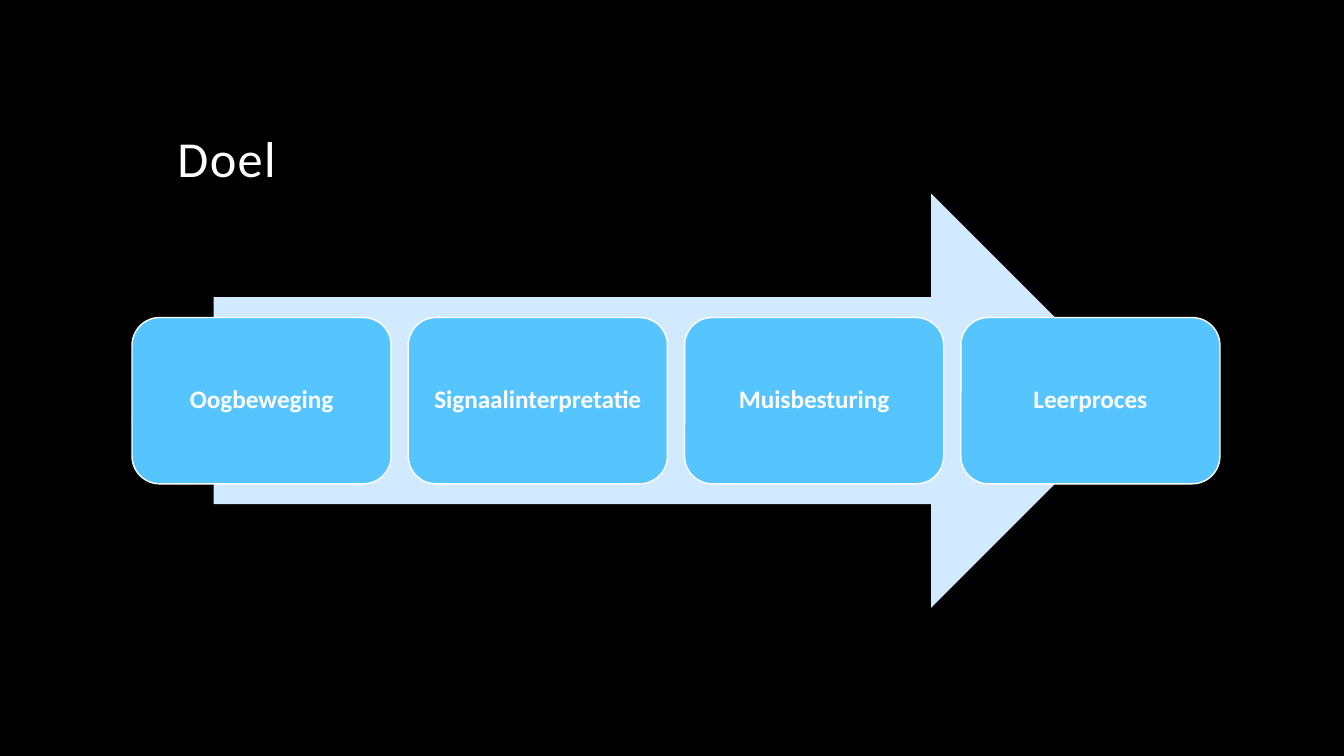
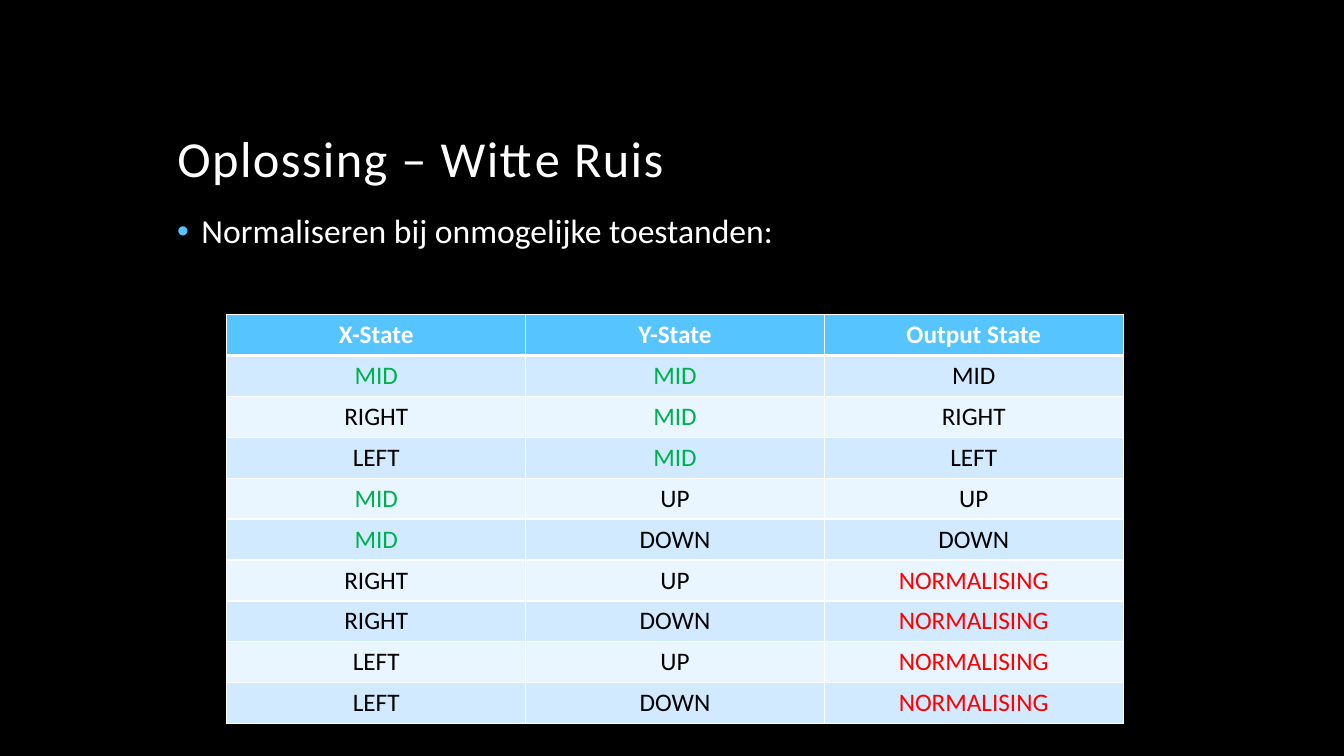
"""Build two slides: the goal as a process arrow and a table of output states."""
from dataclasses import dataclass

from lxml import etree
from pptx import Presentation
from pptx.dml.color import RGBColor
from pptx.enum.shapes import MSO_SHAPE
from pptx.enum.text import MSO_ANCHOR, PP_ALIGN
from pptx.oxml.ns import qn
from pptx.util import Inches, Pt

RIGHT_ARROW = MSO_SHAPE.RIGHT_ARROW
ROUNDED_RECTANGLE = MSO_SHAPE.ROUNDED_RECTANGLE
MIDDLE, BOTTOM = MSO_ANCHOR.MIDDLE, MSO_ANCHOR.BOTTOM
LEFT, CENTER = PP_ALIGN.LEFT, PP_ALIGN.CENTER

FONT = "Calibri"
BLACK, WHITE = "000000", "FFFFFF"
BLUE, PALE_BLUE, PALEST_BLUE = "56C5FF", "D1EAFF", "E9F5FF"
GREEN, RED = "00B050", "FF0000"
LINE_SPACING = 0.9
TITLE_ONLY = 5

STEPS = ["Oogbeweging", "Signaalinterpretatie", "Muisbesturing", "Leerproces"]
STATES = [
    ("X-State", "Y-State", "Output State"),
    ("MID", "MID", "MID"),
    ("RIGHT", "MID", "RIGHT"),
    ("LEFT", "MID", "LEFT"),
    ("MID", "UP", "UP"),
    ("MID", "DOWN", "DOWN"),
    ("RIGHT", "UP", "NORMALISING"),
    ("RIGHT", "DOWN", "NORMALISING"),
    ("LEFT", "UP", "NORMALISING"),
    ("LEFT", "DOWN", "NORMALISING"),
]


@dataclass(frozen=True)
class Area:
    """A rectangle on the slide, in inches."""
    left: float
    top: float
    width: float
    height: float

    def lengths(self) -> tuple:
        """Return left, top, width and height as lengths."""
        return tuple(map(Inches, (self.left, self.top, self.width, self.height)))


@dataclass(frozen=True)
class TextStyle:
    """Size, colour, weight and alignment of a paragraph."""
    size: int
    color: str = WHITE
    bold: bool = False
    align: PP_ALIGN = CENTER


TITLE_AREA = Area(1.66, 0.42, 10, 1.5)
BULLET_AREA = Area(1.66, 2.08, 10, 0.6)
TABLE_AREA = Area(2.25, 3.12, 8.89, 4.06)
ARROW_AREA = Area(2.12, 1.92, 9.17, 4.11)
FIRST_STEP = Area(1.31, 3.15, 2.57, 1.65)
STEP_PITCH = 2.74
TITLE_STYLE = TextStyle(36, align=LEFT)
BULLET_STYLE = TextStyle(24, align=LEFT)
STRONG_STYLE = TextStyle(18, bold=True)


def rgb(color: str) -> RGBColor:
    """Turn a hex string into a colour."""
    return RGBColor.from_string(color)


def write(frame, text: str, style: TextStyle):
    """Put one styled paragraph in a text frame and return it."""
    para = frame.paragraphs[0]
    para.text = text
    para.alignment = style.align
    font = para.font
    font.name, font.size, font.bold = FONT, Pt(style.size), style.bold
    font.color.rgb = rgb(style.color)
    return para


def add_slide(deck, title: str):
    """Add a slide with its title in the shared style."""
    page = deck.slides.add_slide(deck.slide_layouts[TITLE_ONLY])
    box = page.shapes.title
    box.left, box.top, box.width, box.height = TITLE_AREA.lengths()
    box.text_frame.vertical_anchor = BOTTOM
    para = write(box.text_frame, title, TITLE_STYLE)
    para.line_spacing = LINE_SPACING
    para.runs[0].font._element.set("spc", "100")
    return page


def add_filled_shape(page, preset: MSO_SHAPE, area: Area, color: str):
    """Add a flat preset shape without an outline."""
    shape = page.shapes.add_shape(preset, *area.lengths())
    shape.shadow.inherit = False
    shape.fill.solid()
    shape.fill.fore_color.rgb = rgb(color)
    shape.line.fill.background()
    return shape


def add_step(page, index: int, label: str) -> None:
    """Add one rounded step of the process."""
    area = Area(FIRST_STEP.left + index * STEP_PITCH, FIRST_STEP.top,
                FIRST_STEP.width, FIRST_STEP.height)
    shape = add_filled_shape(page, ROUNDED_RECTANGLE, area, BLUE)
    shape.line.color.rgb = rgb(WHITE)
    shape.line.width = Pt(1)
    frame = shape.text_frame
    frame.word_wrap = True
    frame.vertical_anchor = MIDDLE
    frame.margin_left = frame.margin_right = Inches(0.15)
    write(frame, label, STRONG_STYLE).line_spacing = LINE_SPACING


def add_bullet(page, text: str) -> None:
    """Add a bulleted line with a blue dot."""
    frame = page.shapes.add_textbox(*BULLET_AREA.lengths()).text_frame
    frame.word_wrap = True
    para = write(frame, text, BULLET_STYLE)
    para.line_spacing = LINE_SPACING
    para.space_before = Pt(18)
    properties = para._p.get_or_add_pPr()
    properties.set("marL", str(Inches(0.24)))
    properties.set("indent", str(Inches(-0.24)))
    bullet_color = etree.Element(qn("a:buClr"))
    etree.SubElement(bullet_color, qn("a:srgbClr"), val=BLUE)
    bullet_font = etree.Element(qn("a:buFont"), typeface="Arial")
    bullet = etree.Element(qn("a:buChar"), char="•")
    position = properties.index(properties.find(qn("a:spcBef"))) + 1
    properties[position:position] = [bullet_color, bullet_font, bullet]


def set_borders(cell, bottom: int) -> None:
    """Draw white borders, one point wide except at the bottom."""
    properties = cell._tc.get_or_add_tcPr()
    widths = {"a:lnL": 1, "a:lnR": 1, "a:lnT": 1, "a:lnB": bottom}
    for position, (tag, width) in enumerate(widths.items()):
        line = etree.Element(qn(tag), w=str(Pt(width)))
        fill = etree.SubElement(line, qn("a:solidFill"))
        etree.SubElement(fill, qn("a:srgbClr"), val=WHITE)
        properties.insert(position, line)


def state_color(state: str, is_output: bool) -> str:
    """Mark resting inputs green and impossible combinations red."""
    if state == "NORMALISING":
        return RED
    return GREEN if state == "MID" and not is_output else BLACK


def add_state_table(page) -> None:
    """Add the table that maps two input states to an output state."""
    row_count, column_count = len(STATES), len(STATES[0])
    table = page.shapes.add_table(row_count, column_count, *TABLE_AREA.lengths()).table
    for row in table.rows:
        row.height = Inches(TABLE_AREA.height / row_count)
    for row_index, states in enumerate(STATES):
        is_header = row_index == 0
        band = BLUE if is_header else PALE_BLUE if row_index % 2 else PALEST_BLUE
        for column_index, state in enumerate(states):
            cell = table.cell(row_index, column_index)
            cell.fill.solid()
            cell.fill.fore_color.rgb = rgb(band)
            is_output = column_index == column_count - 1
            style = STRONG_STYLE if is_header else TextStyle(18, state_color(state, is_output))
            write(cell.text_frame, state, style)
            set_borders(cell, bottom=3 if is_header else 1)
            if row_index == 1:
                header_line = cell._tc.tcPr.find(qn("a:lnT"))
                header_line.set("w", str(Pt(3)))


def build_goal(deck) -> None:
    """Build the slide with the process arrow."""
    page = add_slide(deck, "Doel")
    add_filled_shape(page, RIGHT_ARROW, ARROW_AREA, PALE_BLUE)
    for index, label in enumerate(STEPS):
        add_step(page, index, label)


def build_solution(deck) -> None:
    """Build the slide with the state table."""
    page = add_slide(deck, "Oplossing – Witte Ruis")
    add_bullet(page, "Normaliseren bij onmogelijke toestanden:")
    add_state_table(page)


def main() -> None:
    """Build and save the deck."""
    deck = Presentation()
    deck.slide_width, deck.slide_height = Inches(13.33), Inches(7.5)
    background = deck.slide_master.background.fill
    background.solid()
    background.fore_color.rgb = rgb(BLACK)
    build_goal(deck)
    build_solution(deck)
    deck.save("out.pptx")


if __name__ == "__main__":
    main()
